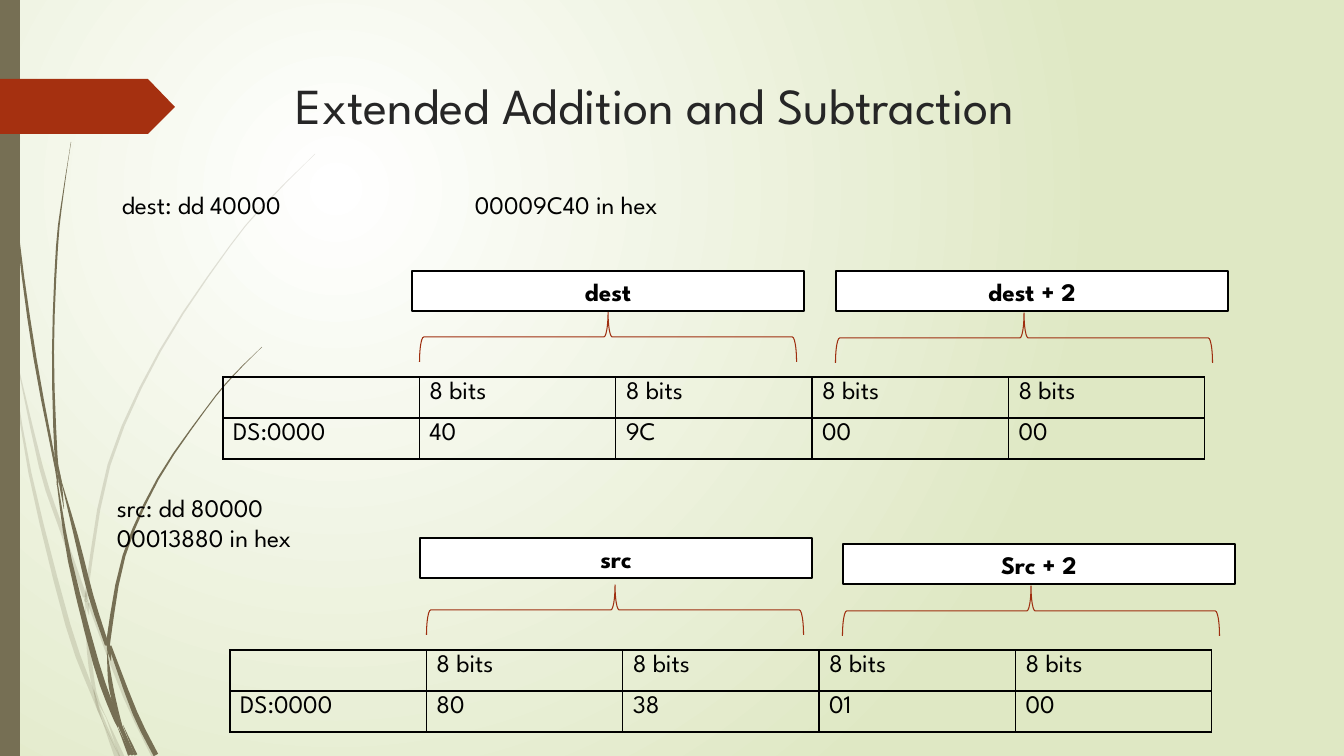
import math
import lxml.etree
import pptx
import pptx.dml.color
import pptx.enum.shapes
import pptx.enum.text
import pptx.oxml
import pptx.oxml.ns
import pptx.util

SCALE = 914400 / 100.8
FONT = "League Spartan"
HUES = {"olive": "766F54", "rust": "A53010", "brace": "9E2E0F", "ink": "000000",
        "title": "262626", "white": "FFFFFF", "lime": "DFE8C4"}
NS = pptx.oxml.ns.nsdecls("a", "p")
KINDS = pptx.enum.shapes.MSO_SHAPE
STEPS = 3

PALE = [
    [(0, 293, 4), (5, 323, 3), (11, 353, 0)],
    [(14, 348, 0), (41, 467, 4), (60, 525, 4), (85, 597, 4)],
    [(89, 603, 3), (125, 695, 5), (154, 756, 5)],
    [(106, 717, 0), (122, 757, 5)],
    [(11, 353, 0), (30, 473, 3), (68, 625, 5), (93, 694, 4), (102, 720, 0)],
    [(85, 604, 0), (89, 652, 4), (95, 692, 3), (106, 717, 0)],
    [(315, 154, 0), (270, 199, 1), (230, 246, 1), (160, 351, 2),
     (109, 465, 3), (87, 589, 3), (87, 600, 2)],
    [(102, 720, 0), (117, 757, 5)],
    [(86, 591, 0), (87, 603, 4), (89, 615, 0)],
    [(94, 689, 0), (99, 710, 3), (120, 757, 1)],
]
DARK = [
    [(4, 0, 1), (8, 110, 1), (18, 235, 2), (35, 358, 3), (56, 469, 2), (57, 485, 1)],
    [(60, 476, 0), (76, 536, 4), (91, 596, 5), (107, 645, 4)],
    [(110, 646, 3), (135, 713, 5), (156, 755, 5)],
    [(57, 481, 1), (70, 561, 4), (96, 663, 6), (113, 712, 5), (118, 728, 0)],
    [(71, 142, 0), (63, 195, 1), (57, 247, 2), (53, 352, 2), (56, 455, 3), (60, 476, 1)],
    [(123, 725, 0), (136, 755, 3)],
    [(55, 453, 0), (60, 480, 3), (64, 509, 0)],
    [(262, 347, 0), (233, 376, 1), (206, 409, 1), (158, 479, 2), (124, 556, 3),
     (109, 637, 4), (110, 646, 2)],
    [(118, 728, 0), (130, 755, 4)],
    [(107, 650, 0), (110, 680, 4), (114, 700, 4), (122, 725, 0)],
    [(107, 636, 0), (109, 649, 4), (111, 661, 0)],
    [(111, 697, 0), (117, 718, 4), (133, 755, 3)],
]


def emu(size):
    return pptx.util.Emu(round(size * SCALE))


def rgb(hue):
    return pptx.dml.color.RGBColor.from_string(HUES[hue])


def paint(shape, fill=None, line=None, width=1):
    shape.shadow.inherit = False
    if fill:
        shape.fill.solid()
        shape.fill.fore_color.rgb = rgb(fill)
    else:
        shape.fill.background()
    if line:
        shape.line.color.rgb = rgb(line)
        shape.line.width = pptx.util.Pt(width)
    else:
        shape.line.fill.background()


def backdrop(slide):
    slide.element.cSld.insert(0, pptx.oxml.parse_xml(
        f'<p:bg {NS}><p:bgPr><a:gradFill rotWithShape="1"><a:gsLst>'
        f'<a:gs pos="0"><a:srgbClr val="{HUES["white"]}"/></a:gs>'
        f'<a:gs pos="100000"><a:srgbClr val="{HUES["lime"]}"/></a:gs></a:gsLst>'
        '<a:path path="circle"><a:fillToRect l="50000" t="50000" r="100000" b="100000"/>'
        '</a:path></a:gradFill><a:effectLst/></p:bgPr></p:bg>'))


def outline(slide, points, hue, alpha=100):
    spots = [(emu(x), emu(y)) for x, y in points]
    maker = slide.shapes.build_freeform(*spots[0], scale=1.0)
    maker.add_line_segments(spots[1:], close=True)
    shape = maker.convert_to_shape()
    paint(shape, hue)
    if alpha < 100:
        tint = shape.element.spPr.find(".//" + pptx.oxml.ns.qn("a:srgbClr"))
        lxml.etree.SubElement(tint, pptx.oxml.ns.qn("a:alpha"), val=str(alpha * 1000))


def curve(knots):
    ends = [knots[0], *knots, knots[-1]]
    for a, b, c, d in zip(ends, ends[1:], ends[2:], ends[3:]):
        for step in range(STEPS):
            t = step / STEPS
            yield [(2 * q + (r - p) * t + (2 * p - 5 * q + 4 * r - s) * t ** 2
                    + (3 * q - p - 3 * r + s) * t ** 3) / 2
                   for p, q, r, s in zip(a, b, c, d)]
    yield knots[-1]


def blade(slide, knots, alpha):
    spine = list(curve(knots))
    left, right = [], []
    for i, (x, y, wide) in enumerate(spine):
        back, front = spine[max(i - 1, 0)], spine[min(i + 1, len(spine) - 1)]
        dx, dy = front[0] - back[0], front[1] - back[1]
        half = max(wide, 0.3) / 2 / math.hypot(dx, dy)
        left.append((x - dy * half, y + dx * half))
        right.append((x + dy * half, y - dx * half))
    outline(slide, left + right[::-1], "olive", alpha)


def write(frame, lines, size=18, hue="ink", bold=False, align=None):
    for i, text in enumerate(lines):
        para = frame.add_paragraph() if i else frame.paragraphs[0]
        para.alignment = align
        run = para.add_run()
        run.text = text
        run.font.name = FONT
        run.font.size = pptx.util.Pt(size)
        run.font.bold = bold
        run.font.color.rgb = rgb(hue)


def label(slide, area, lines, **style):
    frame = slide.shapes.add_textbox(*map(emu, area)).text_frame
    frame.word_wrap = True
    write(frame, lines, **style)
    return frame


def tab_stop(para, spot):
    props = para._p.get_or_add_pPr()
    props.append(pptx.oxml.parse_xml(
        f'<a:tabLst {NS}><a:tab pos="{emu(spot)}" algn="l"/></a:tabLst>'))


def name_box(slide, x, y, text):
    box = slide.shapes.add_shape(KINDS.RECTANGLE, emu(x), emu(y), emu(392), emu(40))
    paint(box, "white", "ink", 1.25)
    box.text_frame.vertical_anchor = pptx.enum.text.MSO_ANCHOR.TOP
    write(box.text_frame, [text], bold=True, align=pptx.enum.text.PP_ALIGN.CENTER)


def brace(slide, mid, top):
    wide, high = 377, 50
    shape = slide.shapes.add_shape(KINDS.LEFT_BRACE, emu(mid - high / 2),
                                   emu(top + high / 2 - wide / 2), emu(high), emu(wide))
    shape.rotation = 90
    paint(shape, line="brace", width=0.75)


def border(cell):
    props = cell._tc.get_or_add_tcPr()
    for i, side in enumerate("LRTB"):
        props.insert(i, pptx.oxml.parse_xml(
            f'<a:ln{side} {NS} w="12700"><a:solidFill>'
            f'<a:srgbClr val="{HUES["ink"]}"/></a:solidFill></a:ln{side}>'))


def grid(slide, x, y, rows):
    table = slide.shapes.add_table(len(rows), len(rows[0]), emu(x), emu(y),
                                   emu(982), emu(82)).table
    table.first_row = table.horz_banding = False
    for r, row in enumerate(rows):
        for c, text in enumerate(row):
            cell = table.cell(r, c)
            cell.fill.background()
            border(cell)
            if text:
                write(cell.text_frame, [text])


def memory(slide, x, y, data):
    grid(slide, x, y, [[""] + ["8 bits"] * len(data), ["DS:0000"] + data])
    brace(slide, x + 385, y - 65)
    brace(slide, x + 801, y - 64)


def main():
    deck = pptx.Presentation()
    deck.slide_width, deck.slide_height = emu(1344), emu(756)
    slide = deck.slides.add_slide(deck.slide_layouts[6])
    backdrop(slide)
    for group, alpha in ((PALE, 20), (DARK, 100)):
        for knots in group:
            blade(slide, knots, alpha)
    bar = slide.shapes.add_shape(KINDS.RECTANGLE, 0, 0, emu(20), emu(756))
    paint(bar, "olive")
    outline(slide, [(0, 79), (148, 79), (175, 107), (148, 134), (0, 134)], "rust")

    label(slide, (286, 69, 983, 141), ["Extended Addition and Subtraction"],
          size=36, hue="title")
    dest = label(slide, (112, 184, 576, 40), ["dest: dd 40000\t00009C40 in hex"])
    tab_stop(dest.paragraphs[0], 353)
    memory(slide, 223, 377, ["40", "9C", "00", "00"])
    name_box(slide, 412, 271, "dest")
    name_box(slide, 836, 271, "dest + 2")

    label(slide, (107, 487, 271, 72), ["src: dd 80000", "00013880 in hex"])
    memory(slide, 230, 650, ["80", "38", "01", "00"])
    name_box(slide, 420, 538, "src")
    name_box(slide, 843, 544, "Src + 2")
    deck.save("out.pptx")


main()
